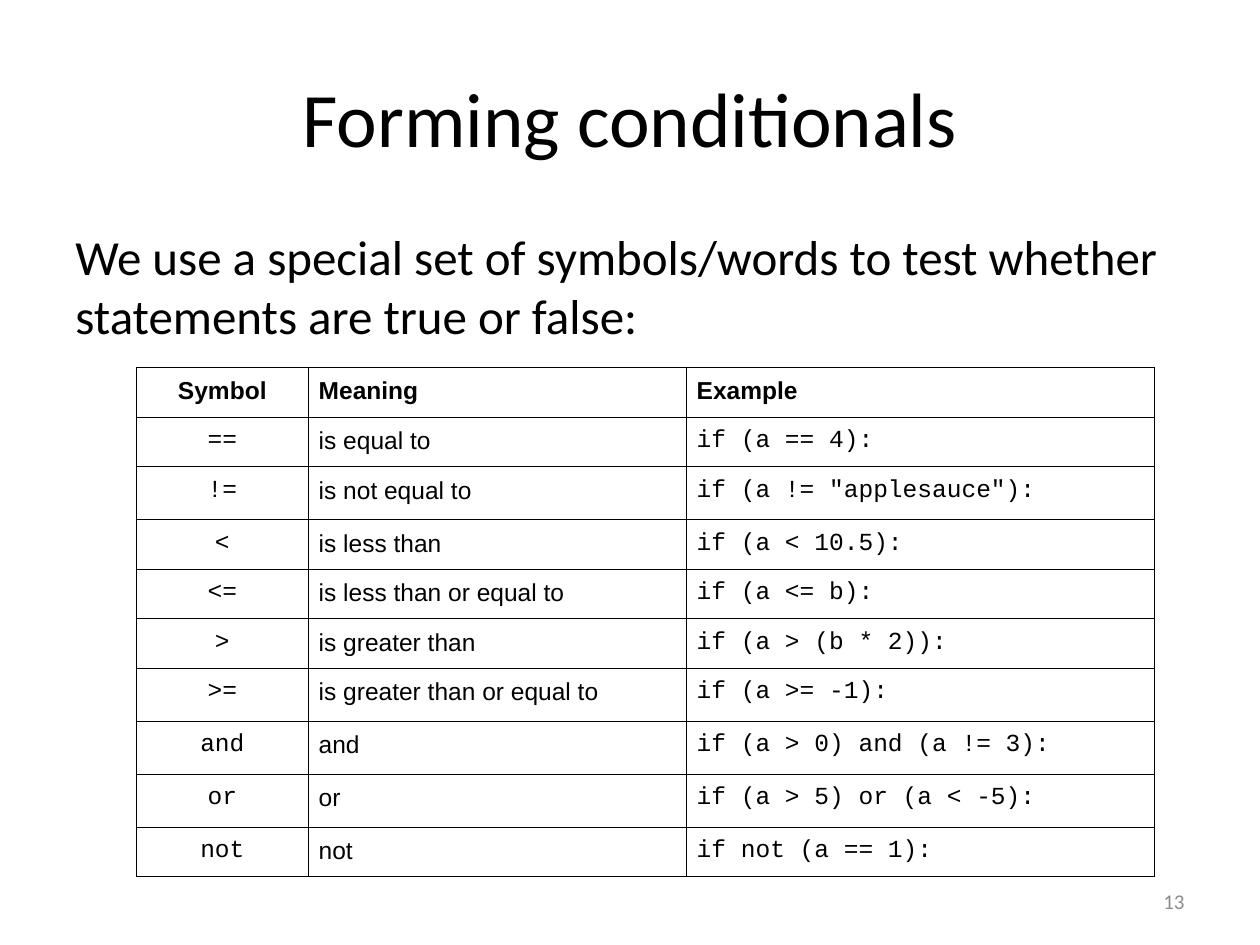
from typing import NamedTuple

from lxml import etree
from pptx import Presentation
from pptx import util as u
from pptx.dml.color import RGBColor
from pptx.enum import text
from pptx.oxml.ns import qn

BLACK = RGBColor(0, 0, 0)
GRAY = RGBColor(0x8C, 0x8C, 0x8C)
SANS, ARIAL, MONO = "Calibri", "Arial", "Courier New"
LEFT, MID, RIGHT = text.PP_ALIGN.LEFT, text.PP_ALIGN.CENTER, text.PP_ALIGN.RIGHT
WIDE, HIGH = u.Inches(10), u.Inches(7.5)
PAD = u.Inches(0.08)
LINE = u.Pt(0.75)


class Box(NamedTuple):
    """A place given in shares of the slide's size."""
    x: float
    y: float
    w: float
    h: float

    def lengths(self) -> tuple[int, int, int, int]:
        return (int(self.x * WIDE), int(self.y * HIGH),
                int(self.w * WIDE), int(self.h * HIGH))


class Style(NamedTuple):
    font: str
    size: float
    align: text.PP_ALIGN = LEFT
    bold: bool = False
    color: RGBColor = BLACK


class Column(NamedTuple):
    width: float
    head: Style
    body: Style


class Test(NamedTuple):
    symbol: str
    meaning: str
    example: str
    height: float = 0.31


COLUMNS = [
    Column(1.37, Style(ARIAL, 14, MID, True), Style(MONO, 14, MID)),
    Column(3, Style(ARIAL, 14, LEFT, True), Style(ARIAL, 14)),
    Column(3.71, Style(ARIAL, 14, LEFT, True), Style(MONO, 14)),
]
TALL = 0.42
TESTS = [
    Test("Symbol", "Meaning", "Example"),
    Test("==", "is equal to", "if (a == 4):"),
    Test("!=", "is not equal to", 'if (a != "applesauce"):', TALL),
    Test("<", "is less than", "if (a < 10.5):"),
    Test("<=", "is less than or equal to", "if (a <= b):"),
    Test(">", "is greater than", "if (a > (b * 2)):"),
    Test(">=", "is greater than or equal to", "if (a >= -1):", TALL),
    Test("and", "and", "if (a > 0) and (a != 3):", TALL),
    Test("or", "or", "if (a > 5) or (a < -5):", TALL),
    Test("not", "not", "if not (a == 1):"),
]


def write(frame, words: str, style: Style) -> None:
    para = frame.paragraphs[0]
    para.alignment = style.align
    run = para.add_run()
    run.text = words
    font = run.font
    font.name, font.size, font.bold = style.font, u.Pt(style.size), style.bold
    font.color.rgb = style.color


def add_text(slide, box: Box, words: str, style: Style, anchor) -> None:
    frame = slide.shapes.add_textbox(*box.lengths()).text_frame
    frame.word_wrap = True
    frame.vertical_anchor = anchor
    write(frame, words, style)


def outline(cell) -> None:
    """Rule all four sides; the lines must precede the fill in tcPr."""
    props = cell._tc.get_or_add_tcPr()
    for spot, side in enumerate(("lnL", "lnR", "lnT", "lnB")):
        rule = etree.Element(qn(f"a:{side}"), w=str(LINE))
        fill = etree.SubElement(rule, qn("a:solidFill"))
        etree.SubElement(fill, qn("a:srgbClr"), val=str(BLACK))
        props.insert(spot, rule)


def add_tests(slide, box: Box) -> None:
    shape = slide.shapes.add_table(len(TESTS), len(COLUMNS), *box.lengths())
    table = shape.table
    table.first_row = table.horz_banding = False
    for col, spec in zip(table.columns, COLUMNS):
        col.width = u.Inches(spec.width)
    for r, test in enumerate(TESTS):
        table.rows[r].height = u.Inches(test.height)
        for c, col in enumerate(COLUMNS):
            cell = table.cell(r, c)
            cell.margin_left = cell.margin_right = PAD
            cell.margin_top = cell.margin_bottom = PAD
            cell.fill.background()
            outline(cell)
            write(cell.text_frame, test[c], col.body if r else col.head)


def main() -> None:
    deck = Presentation()
    deck.slide_width, deck.slide_height = WIDE, HIGH
    slide = deck.slides.add_slide(deck.slide_layouts[5])

    title = slide.shapes.title
    title.left, title.top, title.width, title.height = Box(
        0.05, 0.04, 0.9, 1 / 6).lengths()
    title.text_frame.vertical_anchor = text.MSO_ANCHOR.MIDDLE
    write(title.text_frame, "Forming conditionals", Style(SANS, 44, MID))

    add_text(slide, Box(0.05, 0.233, 0.9, 0.66),
             "We use a special set of symbols/words to test whether "
             "statements are true or false:",
             Style(SANS, 28), text.MSO_ANCHOR.TOP)
    add_text(slide, Box(0.717, 0.927, 0.233, 0.053), "13",
             Style(SANS, 12, RIGHT, color=GRAY), text.MSO_ANCHOR.MIDDLE)
    add_tests(slide, Box(0.108, 0.389, 0.808, 0.54))
    deck.save("out.pptx")


if __name__ == "__main__":
    main()
